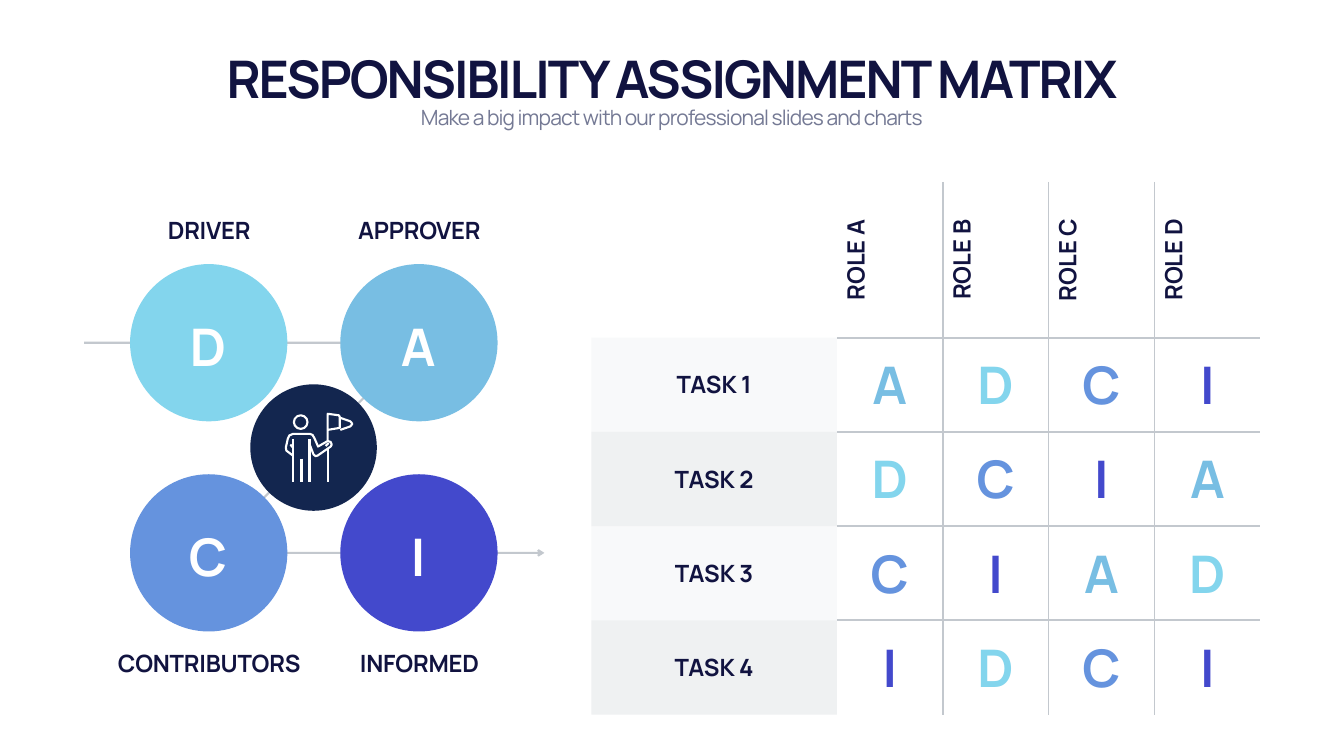
from pptx import Presentation
from pptx.dml.color import RGBColor
from pptx.enum.shapes import MSO_SHAPE
from pptx.enum.text import MSO_ANCHOR, MSO_AUTO_SIZE, PP_ALIGN
from pptx.oxml import parse_xml
from pptx.oxml.ns import nsdecls, qn
from pptx.util import Inches, Pt

OVAL = MSO_SHAPE.OVAL
TOP, MIDDLE, BOTTOM = MSO_ANCHOR.TOP, MSO_ANCHOR.MIDDLE, MSO_ANCHOR.BOTTOM
CENTER = PP_ALIGN.CENTER
GROW = MSO_AUTO_SIZE.SHAPE_TO_FIT_TEXT

FONT = "Manrope"
INK = RGBColor(0x11, 0x13, 0x40)
MUTED = RGBColor(0x74, 0x79, 0x94)
RULE = RGBColor(0xC3, 0xC8, 0xCE)
NAVY = RGBColor(0x13, 0x26, 0x4F)
WHITE = RGBColor(0xFF, 0xFF, 0xFF)
ROLE_COLORS = {
    "D": RGBColor(0x83, 0xD5, 0xED),
    "A": RGBColor(0x78, 0xBE, 0xE3),
    "C": RGBColor(0x65, 0x93, 0xDE),
    "I": RGBColor(0x43, 0x49, 0xCC),
}


def write(box, text, size, color, bold=True, anchor=MIDDLE, spacing=0):
    """Fill a text box or placeholder with one centred line; spacing in points."""
    frame = box.text_frame
    frame.word_wrap = True
    frame.auto_size = GROW
    frame.vertical_anchor = anchor
    frame.margin_left = frame.margin_right = frame.margin_top = frame.margin_bottom = 0
    para = frame.paragraphs[0]
    para.alignment = CENTER
    span = para.add_run()
    span.text = text
    font = para.font
    font.name, font.size, font.bold = FONT, Pt(size), bold
    font.color.rgb = color
    span.font._element.set("spc", str(round(spacing * 100)))


def draw_strokes(strokes, color):
    """Draw open polylines, given in hundredths of an inch, as one outline."""
    builder = shapes.build_freeform(*strokes[0][0], scale=Inches(0.01))
    builder.add_line_segments(strokes[0][1:], close=False)
    for stroke in strokes[1:]:
        builder.move_to(*stroke[0])
        builder.add_line_segments(stroke[1:], close=False)
    outline = builder.convert_to_shape()
    outline.shadow.inherit = False
    outline.fill.background()
    outline.line.color.rgb = color
    outline.line.width = Pt(3)
    return outline


deck = Presentation()
deck.slide_width, deck.slide_height = Inches(26.66), Inches(15)
page = deck.slides.add_slide(deck.slide_layouts[5])
shapes = page.shapes

# Title and subtitle
title = shapes.title
title.left, title.top, title.width, title.height = (
    Inches(1.66), Inches(0.82), Inches(23.33), Inches(1.35))
write(title, "RESPONSIBILITY ASSIGNMENT MATRIX", 74, INK, anchor=BOTTOM, spacing=-2.9)
subtitle = shapes.add_textbox(Inches(1.66), Inches(2.07), Inches(23.33), Inches(0.61))
write(subtitle, "Make a big impact with our professional slides and charts",
      30, MUTED, bold=False, anchor=TOP, spacing=-1.2)

# Zigzag arrow behind the circles
flow = draw_strokes([[(167, 680), (831, 680), (414, 1097), (1080, 1097)]], RULE)
flow.line._get_or_add_ln().append(
    parse_xml(f'<a:tailEnd {nsdecls("a")} type="arrow"/>'))

# Role circles with letters and labels: letter, label, centre x, centre y, label top
ROLES = [
    ("D", "DRIVER", 4.14, 6.8, 4.22),
    ("A", "APPROVER", 8.31, 6.8, 4.22),
    ("C", "CONTRIBUTORS", 4.14, 10.97, 12.82),
    ("I", "INFORMED", 8.31, 10.97, 12.82),
]
circles = [(x, y, 3.12, ROLE_COLORS[letter]) for letter, _, x, y, _ in ROLES]
circles.append((6.22, 8.88, 2.51, NAVY))
for x, y, size, color in circles:
    circle = shapes.add_shape(OVAL, Inches(x - size / 2), Inches(y - size / 2),
                              Inches(size), Inches(size))
    circle.shadow.inherit = False
    circle.fill.solid()
    circle.fill.fore_color.rgb = color
    circle.line.fill.background()

for letter, label, x, y, label_top in ROLES:
    box = shapes.add_textbox(Inches(x - 1.16), Inches(y - 0.67), Inches(2.29), Inches(1.35))
    write(box, letter, 74, WHITE, anchor=BOTTOM, spacing=-2.9)
    box = shapes.add_textbox(Inches(x - 1.95), Inches(label_top), Inches(3.92), Inches(0.67))
    write(box, label, 34, INK, spacing=-0.3)

# Flag bearer icon: head, then body, legs and flag
head = shapes.add_shape(OVAL, Inches(5.83), Inches(8.24), Inches(0.27), Inches(0.27))
head.shadow.inherit = False
head.fill.background()
head.line.color.rgb = WHITE
head.line.width = Pt(3)
draw_strokes([
    [(581, 904), (568, 894), (567, 888), (571, 870), (574, 864), (581, 861), (615, 861),
     (620, 863), (624, 870), (631, 886), (650, 875), (656, 877), (658, 882), (656, 886),
     (630, 904), (626, 905), (622, 902), (614, 881)],
    [(576, 882), (581, 888)],
    [(646, 885), (652, 879)],
    [(581, 872), (581, 956)],
    [(598, 910), (598, 956)],
    [(614, 872), (614, 956)],
    [(650, 891), (650, 956)],
    [(650, 874), (650, 821), (672, 824), (674, 827), (674, 849), (650, 853)],
    [(675, 829), (695, 836), (699, 841), (695, 846), (675, 853)],
], WHITE)

# Responsibility table
ROWS = [
    ["", "ROLE A", "ROLE B", "ROLE C", "ROLE D"],
    ["TASK 1", *"ADCI"],
    ["TASK 2", *"DCIA"],
    ["TASK 3", *"CIAD"],
    ["TASK 4", *"IDCI"],
]
last = len(ROWS) - 1
table = shapes.add_table(5, 5, Inches(11.73), Inches(3.61),
                         Inches(13.27), Inches(10.56)).table
table.first_row = table.horz_banding = False
for index in range(5):
    table.columns[index].width = Inches(2.1 if index else 4.87)
    table.rows[index].height = Inches(1.87 if index else 3.09)

for r, row in enumerate(ROWS):
    for c, text in enumerate(row):
        cell = table.cell(r, c)
        cell.vertical_anchor = MIDDLE
        properties = cell._tc.get_or_add_tcPr()

        # Rules run only between cells, and not beside the task column
        sides = {"lnL": c > 1, "lnR": 0 < c < last,
                 "lnT": c > 0 and r > 0, "lnB": c > 0 and r < last}
        for side, ruled in sides.items():
            paint = (f'<a:solidFill><a:srgbClr val="{RULE}"/></a:solidFill>'
                     if ruled else "<a:noFill/>")
            properties.append(parse_xml(
                f'<a:{side} {nsdecls("a")} w="{Pt(3)}">{paint}</a:{side}>'))

        # Task cells are tinted in turn
        if r and not c:
            cell.fill.solid()
            cell.fill.fore_color.rgb = RULE
            alpha = 10000 if r % 2 else 25000
            properties.find(qn("a:solidFill"))[0].append(
                parse_xml(f'<a:alpha {nsdecls("a")} val="{alpha}"/>'))
        else:
            cell.fill.background()
        if c and not r:
            properties.set("vert", "vert270")

        para = cell.text_frame.paragraphs[0]
        para.alignment = CENTER
        para.text = text
        font = para.font
        font.name, font.bold = FONT, True
        font.size = Pt(74 if text in ROLE_COLORS else 34)
        font.color.rgb = ROLE_COLORS.get(text, INK)

deck.save("out.pptx")
